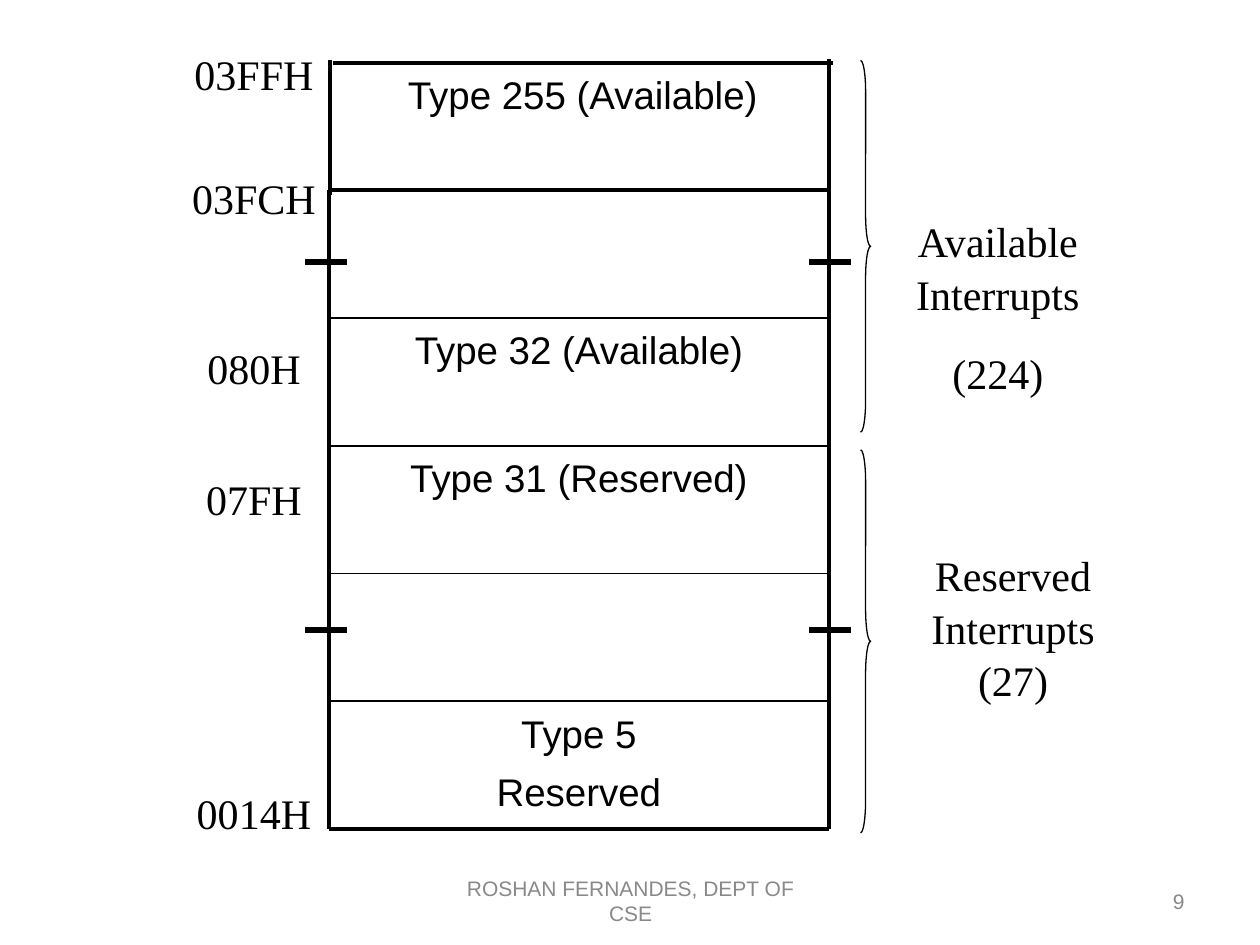
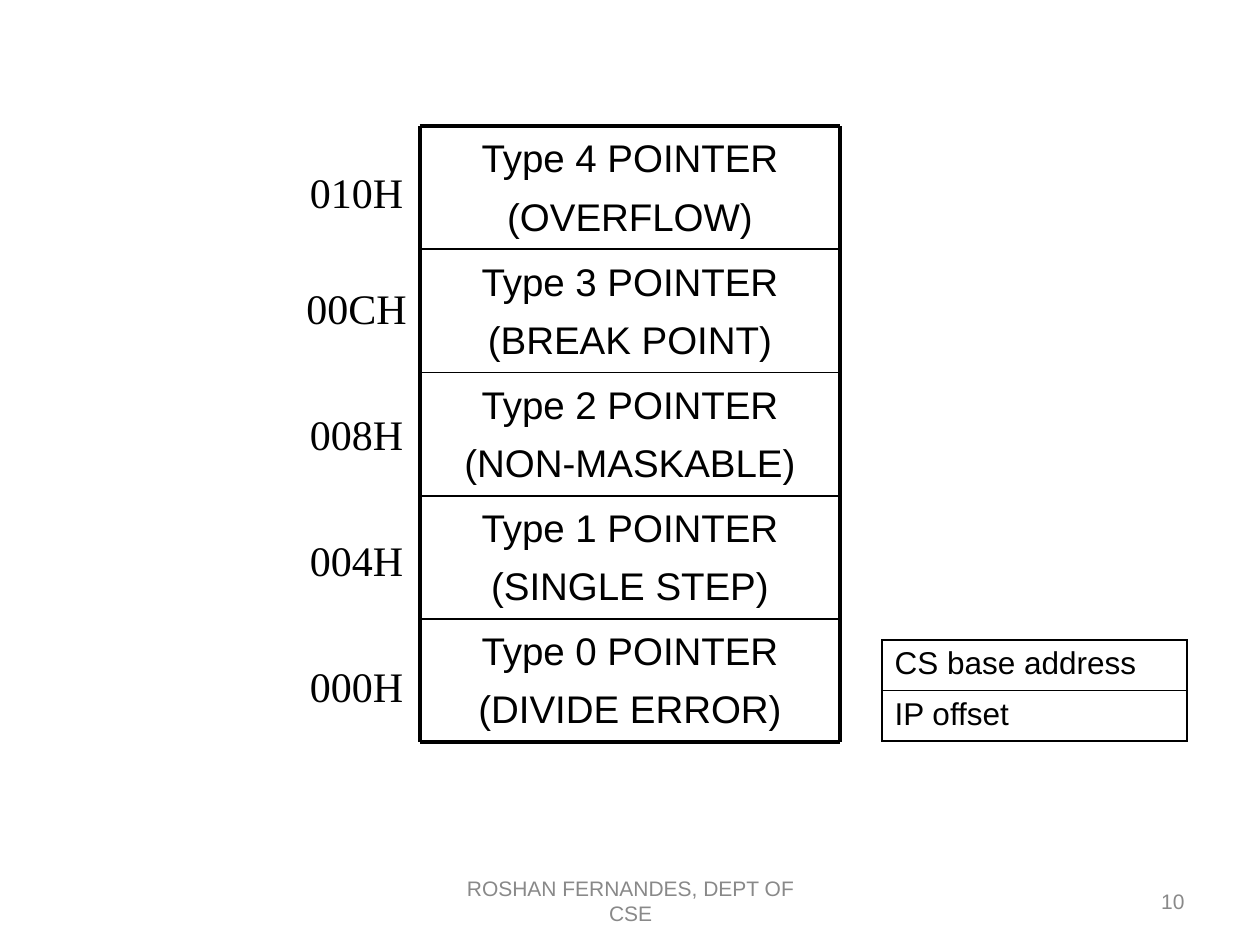
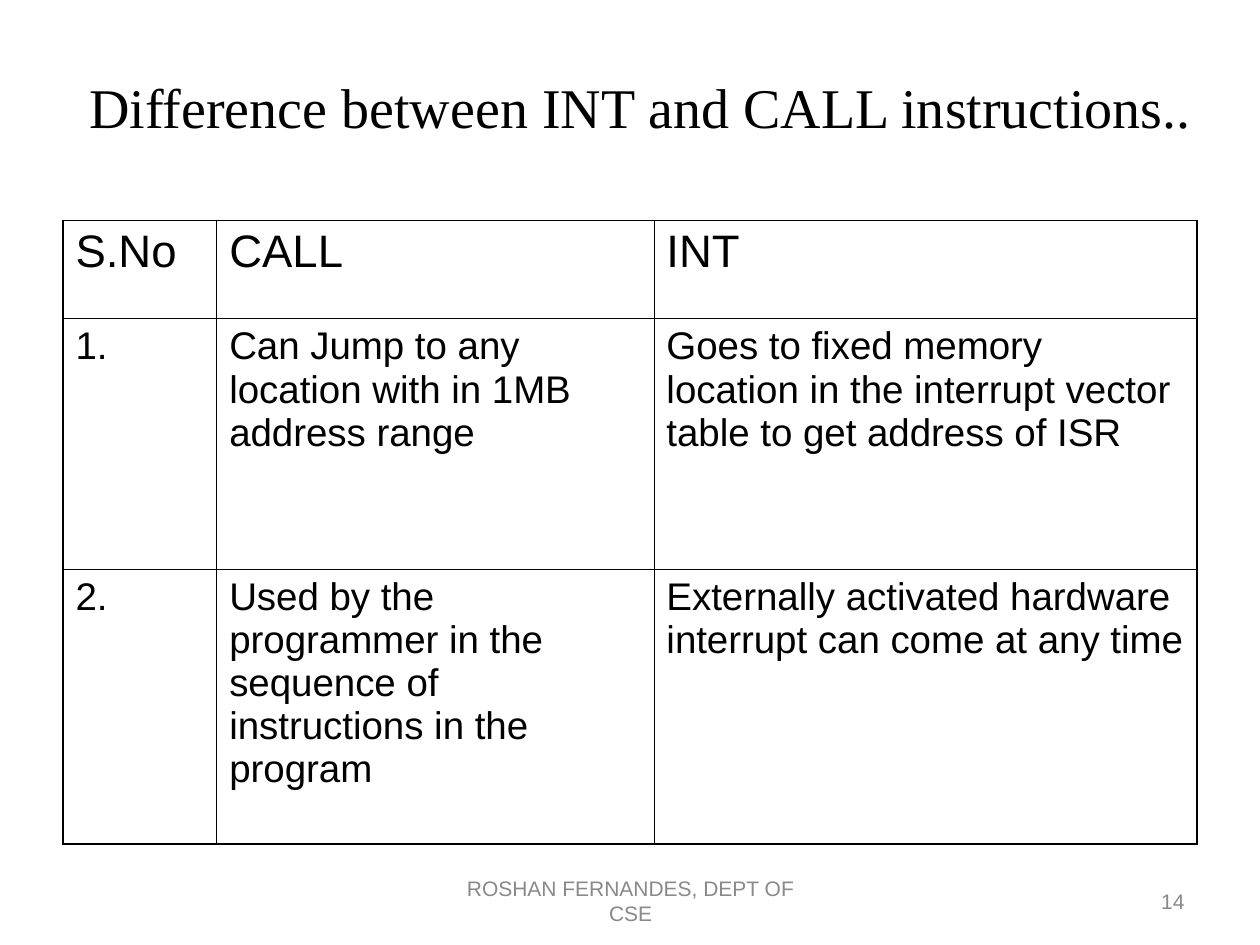
"""Build three slides on the interrupt vector table and the INT and CALL instructions."""
from dataclasses import dataclass
from typing import Any, Optional

from lxml import etree
from pptx import Presentation
from pptx import slide as s
from pptx import util as u
from pptx.dml import color
from pptx.enum import shapes, text
from pptx.oxml import ns

COLORS = {"ink": "000000", "footer": "898989"}
THICK, THIN, TICK, BRACE = 2.25, 1, 3, 0.75
TABLE_EDGE, TABLE_INNER = 1.08, 0.45
LEFT, CENTER, RIGHT = text.PP_ALIGN.LEFT, text.PP_ALIGN.CENTER, text.PP_ALIGN.RIGHT
TITLE_ONLY, BLANK = 5, 6
FOOTER_TOP, FOOTER_HEIGHT = 6.95, 0.4


@dataclass(frozen=True)
class TextStyle:
    """Font and paragraph settings of one kind of text."""
    size: float
    font: str = "Arial"
    ink: str = "ink"
    align: Any = CENTER
    before: float = 0
    spacing: Optional[float] = None


@dataclass(frozen=True)
class Label:
    """A text box with its lines and place in inches."""
    lines: tuple[str, ...]
    left: float
    top: float
    width: float
    height: float = 0.5


@dataclass(frozen=True)
class Stack:
    """A column of equal memory cells, listed from top to bottom."""
    left: float
    top: float
    width: float
    height: float
    cells: tuple[tuple[str, ...], ...]


@dataclass(frozen=True)
class Grid:
    """A ruled table with its sizes in inches."""
    left: float
    top: float
    columns: tuple[float, ...]
    heights: tuple[float, ...]
    rows: tuple[tuple[str, ...], ...]


ADDRESS = TextStyle(24, "Times New Roman", before=15, spacing=1.05)
CELL = TextStyle(22, before=5.5, spacing=1.05)
FOOTER = TextStyle(12, ink="footer")
PAGE_NUMBER = TextStyle(12, ink="footer", align=RIGHT)
TITLE = TextStyle(32, "Times New Roman")
FIELD = TextStyle(18, align=LEFT)
HEADING = TextStyle(26, align=LEFT)
BODY = TextStyle(22, align=LEFT)

UPPER_STACK = Stack(2.61, 1.51, 3.97, 5.07, (
    (), ("Type 32 (Available)",), ("Type 31 (Reserved)",), (), ("Type 5", "Reserved")))
UPPER_ADDRESSES = {"03FFH": 0.32, "03FCH": 1.3, "080H": 2.65, "07FH": 3.69, "0014H": 6.18}
TOP_CELL = Label(("Type 255 (Available)",), 2.64, 0.5, 3.97, 1.01)
TOP_CELL_LINES = ((2.64, 0.5, 6.61, 0.5), (2.62, 0.48, 2.62, 1.55), (6.58, 0.47, 6.58, 1.54))
TICK_LEFTS, TICK_TOPS, TICK_WIDTH = (2.42, 6.42), (2.08, 5), 0.33
BRACE_LEFT, BRACE_WIDTH = 6.83, 0.08
BRACES = ((0.48, 2.95), (3.57, 3.04))
RANGES = (
    Label(("Available Interrupts", "(224)"), 7.17, 1.64, 1.5, 1.51),
    Label(("Reserved Interrupts (27)",), 7, 4.29, 2.08, 1.3),
)
POINTER_STACK = Stack(3.33, 1, 3.34, 4.89, (
    ("Type 4 POINTER", "(OVERFLOW)"),
    ("Type 3 POINTER", "(BREAK POINT)"),
    ("Type 2 POINTER", "(NON-MASKABLE)"),
    ("Type 1 POINTER", "(SINGLE STEP)"),
    ("Type 0 POINTER", "(DIVIDE ERROR)"),
))
POINTER_ADDRESSES = {"010H": 1.25, "00CH": 2.17, "008H": 3.17, "004H": 4.17, "000H": 5.17}
POINTER_FIELDS = Grid(7, 5.08, (2.42,), (0.4, 0.4), (("CS base address",), ("IP offset",)))
DIFFERENCES = Grid(0.5, 1.75, (1.22, 3.47, 4.31), (0.78, 1.99, 2.18), (
    ("S.No", "CALL", "INT"),
    ("1.", "Can Jump to any location with in 1MB address range",
     "Goes to fixed memory location in the interrupt vector table to get address of ISR"),
    ("2.", "Used by the programmer in the sequence of instructions in the program",
     "Externally activated hardware interrupt can come at any time"),
))


def apply_format(target: Any, values: dict[str, Any]) -> None:
    """Set each named attribute of the target."""
    for name, value in values.items():
        setattr(target, name, value)


def rgb(name: str) -> color.RGBColor:
    """Return the named colour."""
    return color.RGBColor.from_string(COLORS[name])


def write(frame: Any, lines: tuple[str, ...], style: TextStyle) -> None:
    """Fill a text frame with one styled paragraph a line."""
    for index, line in enumerate(lines):
        paragraph = frame.add_paragraph() if index else frame.paragraphs[0]
        paragraph.text = line
        apply_format(paragraph, {
            "alignment": style.align,
            "line_spacing": style.spacing,
            "space_before": u.Pt(style.before if index else 0),
        })
        apply_format(paragraph.font, {"size": u.Pt(style.size), "name": style.font})
        paragraph.font.color.rgb = rgb(style.ink)


def add_label(slide: s.Slide, label: Label, style: TextStyle,
              anchor: Any = text.MSO_ANCHOR.TOP) -> None:
    """Add a wrapping text box."""
    place = (label.left, label.top, label.width, label.height)
    frame = slide.shapes.add_textbox(*map(u.Inches, place)).text_frame
    apply_format(frame, {"word_wrap": True, "vertical_anchor": anchor})
    write(frame, label.lines, style)


def add_line(slide: s.Slide, ends: tuple[float, ...], weight: float) -> None:
    """Add a straight line without a shadow."""
    connector = slide.shapes.add_connector(
        shapes.MSO_CONNECTOR.STRAIGHT, *map(u.Inches, ends))
    connector.line.width = u.Pt(weight)
    connector.line.color.rgb = rgb("ink")
    etree.SubElement(connector._element.spPr, ns.qn("a:effectLst"))


def add_brace(slide: s.Slide, top: float, height: float) -> None:
    """Add a right brace that spans a range of cells."""
    place = (BRACE_LEFT, top, BRACE_WIDTH, height)
    brace = slide.shapes.add_shape(shapes.MSO_SHAPE.RIGHT_BRACE, *map(u.Inches, place))
    brace.adjustments[0] = height / 12 / BRACE_WIDTH
    brace.shadow.inherit = False
    brace.fill.background()
    brace.line.width = u.Pt(BRACE)
    brace.line.color.rgb = rgb("ink")


def add_stack(slide: s.Slide, stack: Stack) -> None:
    """Draw the cells of a stack with their dividers and sides."""
    count = len(stack.cells)
    step = stack.height / count
    right, bottom = stack.left + stack.width, stack.top + stack.height
    for index, lines in enumerate(stack.cells):
        if lines:
            add_label(slide, Label(lines, stack.left, stack.top + index * step,
                                   stack.width, step), CELL)
    for index in range(count + 1):
        level = stack.top + index * step
        add_line(slide, (stack.left, level, right, level),
                 THICK if index in (0, count) else THIN)
    for side in (stack.left, right):
        add_line(slide, (side, stack.top, side, bottom), THICK)


def add_addresses(slide: s.Slide, addresses: dict[str, float], left: float,
                  width: float) -> None:
    """Write the addresses beside a stack."""
    for address, top in addresses.items():
        add_label(slide, Label((address,), left, top, width), ADDRESS)


def add_border(cell: Any, weights: dict[str, float]) -> None:
    """Rule the sides of a table cell."""
    properties = cell._tc.get_or_add_tcPr()
    for index, (side, weight) in enumerate(weights.items()):
        line = etree.Element(ns.qn(f"a:ln{side}"), w=str(u.Pt(weight)))
        fill = etree.SubElement(line, ns.qn("a:solidFill"))
        etree.SubElement(fill, ns.qn("a:srgbClr"), val=COLORS["ink"])
        properties.insert(index, line)


def add_grid(slide: s.Slide, grid: Grid, first: TextStyle, rest: TextStyle) -> None:
    """Add a table with heavier outer rules."""
    last_row, last_column = len(grid.heights) - 1, len(grid.columns) - 1
    place = (grid.left, grid.top, sum(grid.columns), sum(grid.heights))
    table = slide.shapes.add_table(
        last_row + 1, last_column + 1, *map(u.Inches, place)).table
    apply_format(table, {"first_row": False, "horz_banding": False})
    for column, width in zip(table.columns, grid.columns):
        column.width = u.Inches(width)
    for row, (height, values) in enumerate(zip(grid.heights, grid.rows)):
        table.rows[row].height = u.Inches(height)
        for column, value in enumerate(values):
            cell = table.cell(row, column)
            cell.fill.background()
            write(cell.text_frame, (value,), rest if row else first)
            edges = {"L": column == 0, "R": column == last_column,
                     "T": row == 0, "B": row == last_row}
            add_border(cell, {side: TABLE_EDGE if outer else TABLE_INNER
                              for side, outer in edges.items()})


def add_footer(slide: s.Slide, number: int) -> None:
    """Add the department line and the page number."""
    middle = text.MSO_ANCHOR.MIDDLE
    add_label(slide, Label(("ROSHAN FERNANDES, DEPT OF CSE",), 3.42, FOOTER_TOP, 3.17,
                           FOOTER_HEIGHT), FOOTER, middle)
    add_label(slide, Label((str(number),), 7.17, FOOTER_TOP, 2.33, FOOTER_HEIGHT),
              PAGE_NUMBER, middle)


def add_title(slide: s.Slide, title: str) -> None:
    """Place and format the title placeholder."""
    shape = slide.shapes.title
    apply_format(shape, {"left": u.Inches(0.5), "top": u.Inches(0.41),
                         "width": u.Inches(9.17), "height": u.Inches(0.86)})
    apply_format(shape.text_frame, {"word_wrap": True, "auto_size": text.MSO_AUTO_SIZE.NONE,
                                    "vertical_anchor": text.MSO_ANCHOR.MIDDLE})
    write(shape.text_frame, (title,), TITLE)


def build_ranges(slide: s.Slide) -> None:
    """Show the available and reserved interrupt types."""
    add_stack(slide, UPPER_STACK)
    add_label(slide, TOP_CELL, CELL)
    for ends in TOP_CELL_LINES:
        add_line(slide, ends, THICK)
    add_addresses(slide, UPPER_ADDRESSES, 1.42, 1.19)
    for top in TICK_TOPS:
        for left in TICK_LEFTS:
            add_line(slide, (left, top, left + TICK_WIDTH, top), TICK)
    for top, height in BRACES:
        add_brace(slide, top, height)
    for label in RANGES:
        add_label(slide, label, ADDRESS)


def build_pointers(slide: s.Slide) -> None:
    """Show the five dedicated pointers."""
    add_stack(slide, POINTER_STACK)
    add_addresses(slide, POINTER_ADDRESSES, 2.33, 1)
    add_grid(slide, POINTER_FIELDS, FIELD, FIELD)


def build_differences(slide: s.Slide) -> None:
    """Compare CALL with INT."""
    add_title(slide, "Difference between INT and CALL instructions..")
    add_grid(slide, DIFFERENCES, HEADING, BODY)


def main() -> None:
    """Build and save the presentation."""
    presentation = Presentation()
    apply_format(presentation, {"slide_width": u.Inches(10), "slide_height": u.Inches(7.5)})
    pages = ((9, BLANK, build_ranges), (10, BLANK, build_pointers),
             (14, TITLE_ONLY, build_differences))
    for number, layout, build in pages:
        slide = presentation.slides.add_slide(presentation.slide_layouts[layout])
        build(slide)
        add_footer(slide, number)
    presentation.save("out.pptx")


if __name__ == "__main__":
    main()
